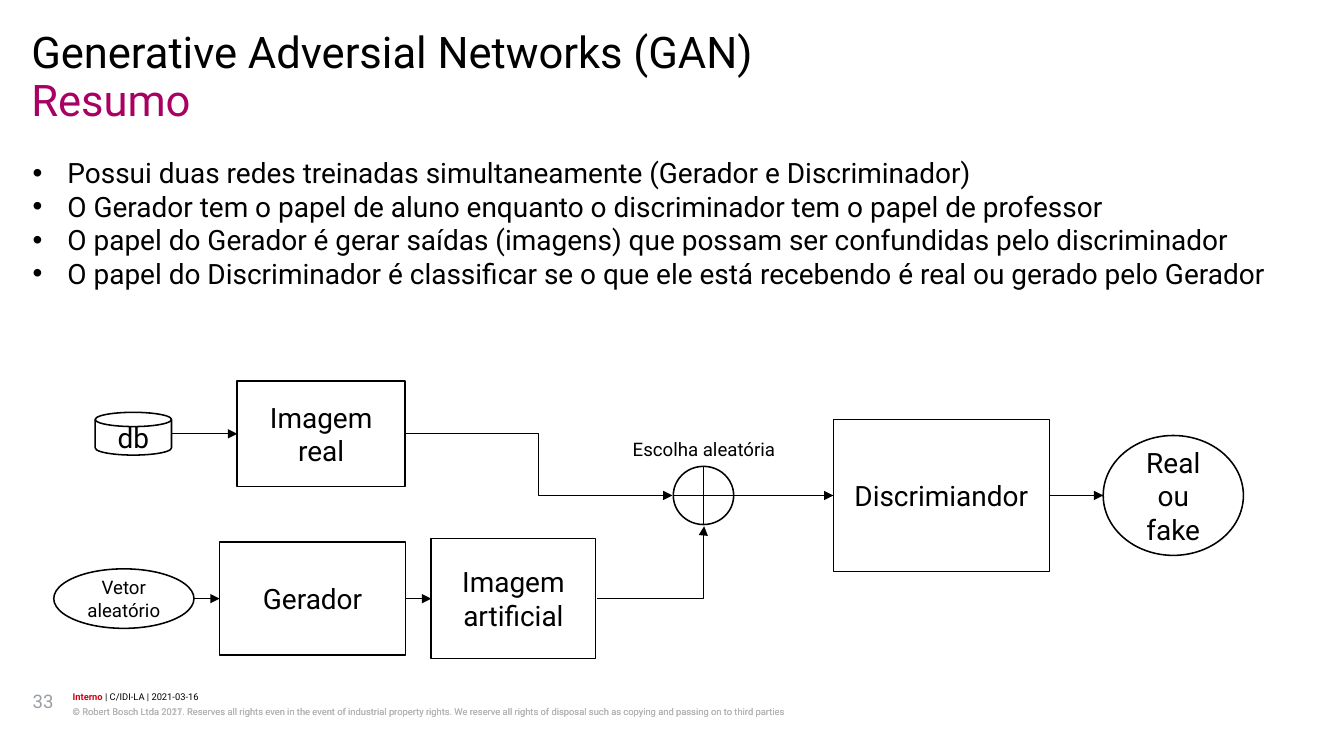
from lxml import etree
from pptx import Presentation
from pptx.dml.color import RGBColor
from pptx.enum.shapes import MSO_CONNECTOR, MSO_SHAPE
from pptx.enum.text import MSO_ANCHOR, MSO_AUTO_SIZE, PP_ALIGN
from pptx.oxml.ns import qn
from pptx.util import Cm, Pt

RECT, OVAL = MSO_SHAPE.RECTANGLE, MSO_SHAPE.OVAL
DISK, CROSS = MSO_SHAPE.FLOWCHART_MAGNETIC_DISK, MSO_SHAPE.FLOWCHART_OR
LINE, BENT = MSO_CONNECTOR.STRAIGHT, MSO_CONNECTOR.ELBOW
TOP, MIDDLE = MSO_ANCHOR.TOP, MSO_ANCHOR.MIDDLE
LEFT, CENTER = PP_ALIGN.LEFT, PP_ALIGN.CENTER
FIXED = MSO_AUTO_SIZE.NONE
BLACK, WHITE, GREY = "000000", "FFFFFF", "B2B3B5"


def tint(code):
    return RGBColor.from_string(code)


def write(box, text, size, code=BLACK, space=None, pad=0, anchor=TOP, align=LEFT):
    frame = box.text_frame
    frame.text = text
    frame.word_wrap = True
    frame.auto_size = FIXED
    frame.vertical_anchor = anchor
    frame.margin_left = frame.margin_right = Cm(pad)
    frame.margin_top = frame.margin_bottom = Cm(pad / 2)
    for para in frame.paragraphs:
        para.alignment = align
        if space:
            para.line_spacing = space
        for run in para.runs:
            run.font.name = "Roboto"
            run.font.size = Pt(size)
            run.font.color.rgb = tint(code)
    return frame


deck = Presentation()
deck.slide_width, deck.slide_height = Cm(30.48), Cm(17.15)
slide = deck.slides.add_slide(deck.slide_layouts[5])
shapes = slide.shapes

# Title
title = shapes.title
title.left, title.top, title.width, title.height = Cm(0.71), Cm(1.8), Cm(29.03), Cm(1.07)
write(title, "Resumo", 28, "A80163", 0.89)

# Heading, footer, page number and diagram label
rights = ("© Robert Bosch Ltda {}. Reserves all rights even in the event of industrial property "
          "rights. We reserve all rights of disposal such as copying and passing on to third parties")
notes = [
    ("Generative Adversial Networks (GAN)", 0.71, 0.71, 29.03, 1.07, 28, BLACK, 0.89),
    (rights.format(2021), 1.65, 15.98, 25.43, 0.61, 6, GREY, 1.2),
    (rights.format(2017), 1.65, 16, 25.43, 0.61, 6, GREY, 1.07),
    ("33", 0.74, 15.65, 0.81, 1.14, 12, "999FA6", None),
    ("Escolha aleatória", 14.35, 9.63, 3.6, 2.54, 12, BLACK, Pt(23)),
]
for text, x, y, w, h, size, code, space in notes:
    write(shapes.add_textbox(Cm(x), Cm(y), Cm(w), Cm(h)), text, size, code, space)

# Footer line with a bold class mark
foot = shapes.add_textbox(Cm(1.65), Cm(15.67), Cm(25.43), Cm(0.3))
para = write(foot, "Interno", 6, "D70012", 1.07).paragraphs[0]
para.runs[0].font.bold = True
rest = para.add_run()
rest.text = " | C/IDI-LA | 2021-03-16"
rest.font.name, rest.font.size = "Roboto", Pt(6)
rest.font.color.rgb = tint(BLACK)

# Bullets
points = [
    "Possui duas redes treinadas simultaneamente (Gerador e Discriminador)",
    "O Gerador tem o papel de aluno enquanto o discriminador tem o papel de professor",
    "O papel do Gerador é gerar saídas (imagens) que possam ser confundidas pelo discriminador",
    "O papel do Discriminador é classificar se o que ele está recebendo é real ou gerado pelo Gerador",
]
body = shapes.add_textbox(Cm(0.74), Cm(3.53), Cm(28.12), Cm(4.57))
for para in write(body, "\n".join(points), 18).paragraphs:
    props = para._p.get_or_add_pPr()
    props.set("marL", str(Cm(0.79)))
    props.set("indent", str(-Cm(0.79)))
    etree.SubElement(props, qn("a:buFont")).set("typeface", "Arial")
    etree.SubElement(props, qn("a:buChar")).set("char", "•")

# Diagram nodes, centred on three rows
REAL, MIX, FAKE = 9.84, 11.24, 13.58
nodes = [
    ("db", DISK, 2.16, REAL, 1.73, 0.97, 18),
    ("Vetor aleatório", OVAL, 1.22, FAKE, 3.18, 1.35, 12),
    ("Gerador", RECT, 4.98, FAKE, 4.22, 2.57, 18),
    ("Imagem artificial", RECT, 9.78, FAKE, 3.73, 2.72, 18),
    ("", CROSS, 15.27, MIX, 1.37, 1.32, 18),
    ("Discrimiandor", RECT, 18.9, MIX, 4.9, 3.45, 18),
    ("Imagem real", RECT, 5.38, REAL, 3.81, 2.39, 18),
    ("Real ou fake", OVAL, 25.02, MIX, 3.18, 2.72, 18),
]
made = {}
for text, kind, x, mid, w, h, size in nodes:
    node = shapes.add_shape(kind, Cm(x), Cm(mid - h / 2), Cm(w), Cm(h))
    node.shadow.inherit = False
    node.fill.solid()
    node.fill.fore_color.rgb = tint(WHITE)
    node.line.color.rgb = tint(BLACK)
    node.line.width = Pt(1)
    if text:
        write(node, text, size, pad=0.25, anchor=MIDDLE, align=CENTER)
    made[text] = node

# Arrows: kind, start, end, rectangle left from, rectangle reached
arrows = [
    (LINE, 3.89, REAL, 5.38, REAL, None, "Imagem real"),
    (BENT, 9.19, REAL, 15.25, MIX, None, None),
    (BENT, 13.53, FAKE, 15.97, 11.94, None, None),
    (LINE, 9.2, FAKE, 9.78, FAKE, "Gerador", "Imagem artificial"),
    (LINE, 4.4, FAKE, 4.98, FAKE, None, "Gerador"),
    (LINE, 16.64, MIX, 18.9, MIX, None, "Discrimiandor"),
    (LINE, 23.8, MIX, 25.02, MIX, "Discrimiandor", None),
]
for kind, x1, y1, x2, y2, start, goal in arrows:
    arrow = shapes.add_connector(kind, Cm(x1), Cm(y1), Cm(x2), Cm(y2))
    if start:
        arrow.begin_connect(made[start], 3)
    if goal:
        arrow.end_connect(made[goal], 1)
    arrow.line.color.rgb = tint(BLACK)
    arrow.line.width = Pt(0.5)
    etree.SubElement(arrow.line._get_or_add_ln(), qn("a:tailEnd")).set("type", "triangle")
    props = arrow._element.spPr
    etree.SubElement(props, qn("a:effectLst"))
    if y2 < y1 and kind == BENT:
        # Turn upwards at the far end
        guide = etree.SubElement(props.find(qn("a:prstGeom")).find(qn("a:avLst")), qn("a:gd"))
        guide.set("name", "adj1")
        guide.set("fmla", "val 99300")

deck.save("out.pptx")
